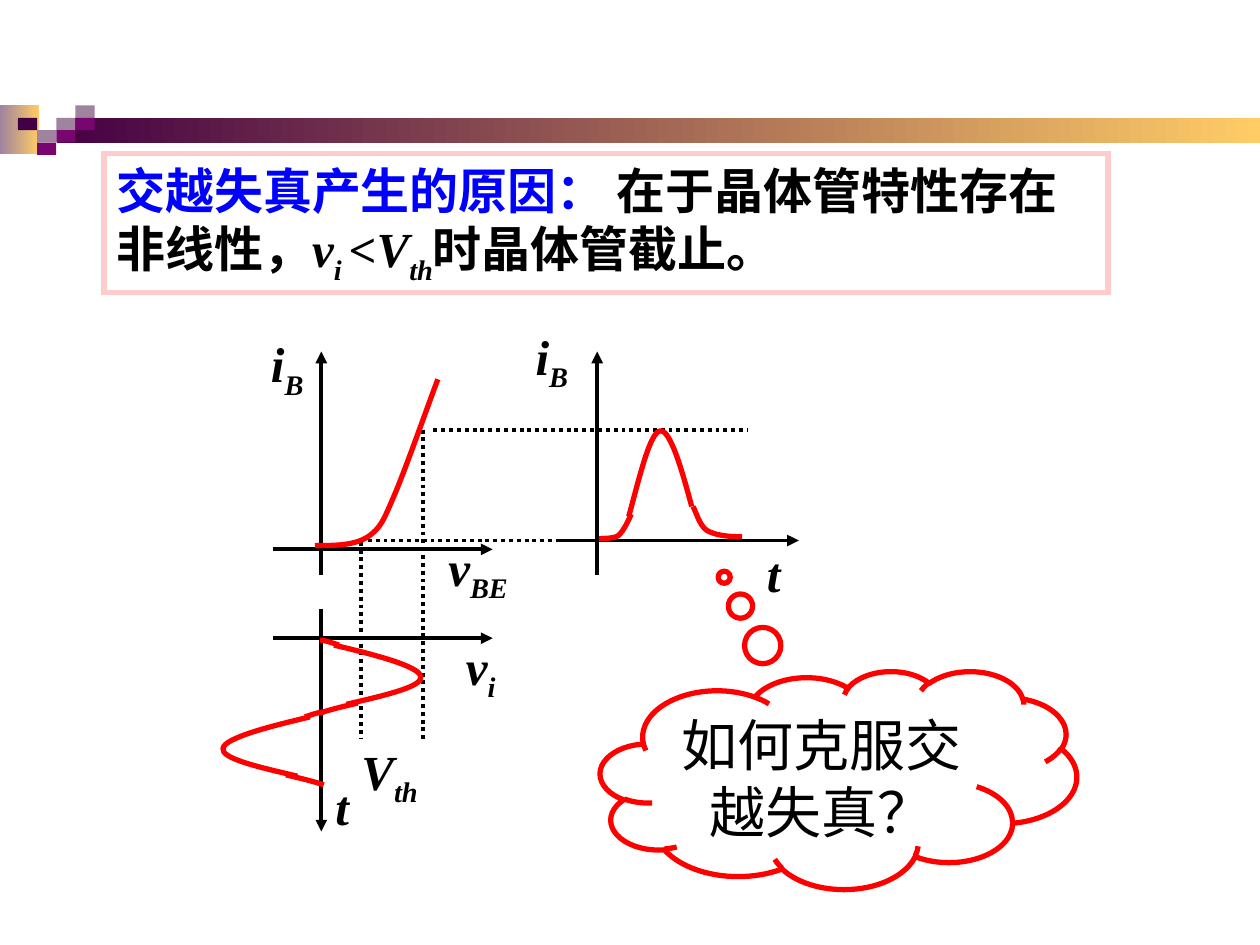
from lxml.etree import SubElement
from pptx import Presentation
from pptx.dml.color import RGBColor
from pptx.enum.dml import MSO_LINE
from pptx.enum.shapes import MSO_CONNECTOR, MSO_SHAPE
from pptx.enum.text import MSO_ANCHOR, MSO_AUTO_SIZE, PP_ALIGN
from pptx.oxml.ns import qn
from pptx.util import Inches, Pt

SLIDE_WIDTH, SLIDE_HEIGHT = Inches(10), Inches(7.5)
COLUMN, ROW = SLIDE_WIDTH / 100, SLIDE_HEIGHT / 75
PIXEL_WIDTH, PIXEL_HEIGHT = 1.52, 0.98
FONT_NAME = "Times New Roman"

BLACK = RGBColor(0x00, 0x00, 0x00)
WHITE = RGBColor(0xFF, 0xFF, 0xFF)
RED = RGBColor(0xFF, 0x00, 0x00)
BLUE = RGBColor(0x00, 0x00, 0xFF)
PINK = RGBColor(0xFF, 0xCC, 0xCC)
MAUVE = RGBColor(0x9F, 0x83, 0x9F)
PURPLE = RGBColor(0x79, 0x05, 0x71)
DARK_PURPLE = RGBColor(0x44, 0x00, 0x44)
GOLD = RGBColor(0xFF, 0xCC, 0x66)

# Pixel column, pixel row, colour
PIXELS = [
    (2, 1, MAUVE), (3, 0, MAUVE), (3, 1, PURPLE), (1, 2, MAUVE),
    (0, 1, DARK_PURPLE), (2, 2, PURPLE), (1, 3, PURPLE),
]
# Start and end in columns and rows; the arrowhead is at the end
AXES = [
    (21.7, 43.6, 39.1, 43.6), (25.5, 48.3, 25.5, 66),
    (21.7, 50.65, 39.1, 50.65), (44.1, 42.9, 63.4, 42.9),
]
CURRENT_AXES = [(25.5, 45.6, 25.5, 27.9), (47.4, 45.6, 47.4, 27.9)]
GUIDES = [
    (28.65, 43, 28.65, 58.6), (29.7, 37.9, 29.7, 37.9), (33.55, 34.1, 33.55, 58.75),
    (29.2, 42.9, 62.9, 42.9), (34.4, 34.1, 59.4, 34.1),
]
# Label, subscript, left, top, width, height, centred, wrapped
LABELS = [
    ("i", "B", 41.1, 25.4, 5.4, 6.3, True, True),
    ("i", "B", 20.1, 26, 5.4, 6.3, True, True),
    ("v", "BE", 34.6, 42.15, 6.7, 6.3, True, False),
    ("t", "", 59.85, 42.6, 3.1, 5.7, True, False),
    ("v", "i", 35.9, 50, 4.5, 6.3, True, False),
    ("t", "", 25.6, 61.1, 3.1, 5.7, True, False),
    ("V", "th", 27.7, 58.35, 11.4, 6.3, False, True),
]
# Each curve is a start point followed by three Bezier points per segment
INPUT_HALF_WAVE = [
    [(26.5, 51.2), (29.9, 52), (33.3, 52.9), (33.4, 53.7),
     (33.6, 54.5), (30.5, 55.2), (27.5, 55.9)],
    [(28.4, 55.8), (27.1, 56.1), (25.9, 56.4), (25.4, 56.6)],
    [(26.9, 51.2), (26.3, 51), (25.7, 50.8), (25.4, 50.8)],
]
OUTPUT_PULSE = [
    [(58.9, 42.6), (57.8, 42.6), (56.8, 42.5), (56.1, 42.1),
     (55.5, 41.7), (55.2, 40.5), (55, 40.2)],
    [(50.1, 40.8), (49.8, 41.5), (49.5, 42.1), (49.1, 42.5),
     (48.7, 42.8), (47.7, 42.7), (47.4, 42.8)],
    [(49.9, 41), (50.8, 37.7), (51.6, 34.3), (52.4, 34.2),
     (53.2, 34.1), (54.1, 37.2), (54.9, 40.2)],
]
TRANSISTOR_CURVE = [
    (25, 43.3), (26.6, 43.3), (28.1, 43.3), (29.2, 42.6),
    (30.2, 41.9), (30.4, 41.4), (31.3, 39.3),
    (32.2, 37.2), (34.1, 31.8), (34.75, 30.1),
]


def place(left, top, width, height):
    return (round(left * COLUMN), round(top * ROW),
            round(width * COLUMN), round(height * ROW))


def add_box(slide, box, fill=None, line=None, kind=MSO_SHAPE.RECTANGLE):
    """Add a preset shape; a pair of fill colours makes a gradient."""
    shape = slide.shapes.add_shape(kind, *place(*box))
    shape.shadow.inherit = False
    if fill is None:
        shape.fill.background()
    elif isinstance(fill, RGBColor):
        shape.fill.solid()
        shape.fill.fore_color.rgb = fill
    else:
        shape.fill.gradient()
        shape.fill.gradient_angle = 0
        for stop, color in zip(shape.fill.gradient_stops, fill):
            stop.color.rgb = color
    if line is None:
        shape.line.fill.background()
    else:
        shape.line.color.rgb = line
        shape.line.width = Pt(3)
    return shape


def add_line(slide, ends, arrow=False):
    """Add a solid axis with an arrowhead, or a dotted guide."""
    connector = slide.shapes.add_connector(MSO_CONNECTOR.STRAIGHT, *place(*ends))
    connector.line.color.rgb = BLACK
    connector.line.width = Pt(2.25)
    if arrow:
        SubElement(connector.line._get_or_add_ln(), qn("a:tailEnd"), type="triangle")
    else:
        connector.line.dash_style = MSO_LINE.ROUND_DOT
    SubElement(connector._element.spPr, qn("a:effectLst"))


def add_curve(slide, points):
    """Add an open outline whose straight steps, in threes, become Bezier segments."""
    scaled = [(x * COLUMN, y * ROW) for x, y in points]
    builder = slide.shapes.build_freeform(*scaled[0])
    builder.add_line_segments(scaled[1:], close=False)
    shape = builder.convert_to_shape()
    outline = shape._element.spPr.find(".//" + qn("a:path"))
    steps = outline.findall(qn("a:lnTo"))
    for first in range(0, len(steps), 3):
        segment = SubElement(outline, qn("a:cubicBezTo"))
        for step in steps[first:first + 3]:
            segment.append(step[0])
            outline.remove(step)
    shape.shadow.inherit = False
    shape.fill.background()
    shape.line.color.rgb = RED
    shape.line.width = Pt(3)


def add_run(paragraph, text, size=28, color=BLACK, bold=True, italic=False, subscript=False):
    run = paragraph.add_run()
    run.text = text
    run.font.name = FONT_NAME
    run.font.size = Pt(size)
    run.font.color.rgb = color
    run.font.bold = bold
    run.font.italic = italic
    if subscript:
        run.font._element.set("baseline", "-25000")


def prepare_text(shape, anchor, alignment, wrap=True, grow=True):
    frame = shape.text_frame
    frame.word_wrap = wrap
    frame.vertical_anchor = anchor
    if grow:
        frame.auto_size = MSO_AUTO_SIZE.SHAPE_TO_FIT_TEXT
    paragraph = frame.paragraphs[0]
    paragraph.alignment = alignment
    return paragraph


def add_label(slide, text, subscript, left, top, width, height, centred, wrap):
    box = slide.shapes.add_textbox(*place(left, top, width, height))
    alignment = PP_ALIGN.CENTER if centred else PP_ALIGN.LEFT
    paragraph = prepare_text(box, MSO_ANCHOR.MIDDLE, alignment, wrap)
    add_run(paragraph, text, italic=True)
    if subscript:
        add_run(paragraph, subscript, italic=True, subscript=True)


def add_header(slide):
    add_box(slide, (0, 8.35, 3.1, 3.9), (MAUVE, GOLD))
    add_box(slide, (4.5, 9.35, 95.5, 2), (DARK_PURPLE, GOLD))
    for column, row, color in PIXELS:
        add_box(slide, (1.43 + column * PIXEL_WIDTH, 8.37 + row * PIXEL_HEIGHT,
                        PIXEL_WIDTH, PIXEL_HEIGHT), color)


def add_explanation(slide):
    box = add_box(slide, (8.25, 12.2, 79.7, 11), line=PINK)
    SubElement(box.line._get_or_add_ln(), qn("a:miter"), lim="800000")
    paragraph = prepare_text(box, MSO_ANCHOR.MIDDLE, PP_ALIGN.LEFT)
    add_run(paragraph, "交越失真产生的原因：", color=BLUE)
    add_run(paragraph, " 在于晶体管特性存在非线性，")
    add_run(paragraph, "v", italic=True)
    add_run(paragraph, "i ", italic=True, subscript=True)
    add_run(paragraph, "<")
    add_run(paragraph, "V", italic=True)
    add_run(paragraph, "th", italic=True, subscript=True)
    add_run(paragraph, "时晶体管截止。")


def add_diagram(slide):
    for ends in AXES:
        add_line(slide, ends, arrow=True)
    for ends in GUIDES:
        add_line(slide, ends)
    for curve in OUTPUT_PULSE + INPUT_HALF_WAVE:
        add_curve(slide, curve)
    for ends in CURRENT_AXES:
        add_line(slide, ends, arrow=True)
    for label in LABELS:
        add_label(slide, *label)
    mirrored_half = [[(51.1 - x, y + 5.7) for x, y in curve] for curve in INPUT_HALF_WAVE]
    for curve in [TRANSISTOR_CURVE, *mirrored_half]:
        add_curve(slide, curve)


def add_question(slide):
    cloud = add_box(slide, (47.65, 53.25, 37.8, 17.3), WHITE, RED, MSO_SHAPE.CLOUD_CALLOUT)
    cloud.adjustments[0], cloud.adjustments[1] = -0.24, -0.93
    paragraph = prepare_text(cloud, MSO_ANCHOR.TOP, PP_ALIGN.CENTER, grow=False)
    add_run(paragraph, "如何克服交越失真？", size=32, bold=False)


def main():
    presentation = Presentation()
    presentation.slide_width, presentation.slide_height = SLIDE_WIDTH, SLIDE_HEIGHT
    slide = presentation.slides.add_slide(presentation.slide_layouts[6])
    add_header(slide)
    add_explanation(slide)
    add_diagram(slide)
    add_question(slide)
    presentation.save("out.pptx")


if __name__ == "__main__":
    main()
